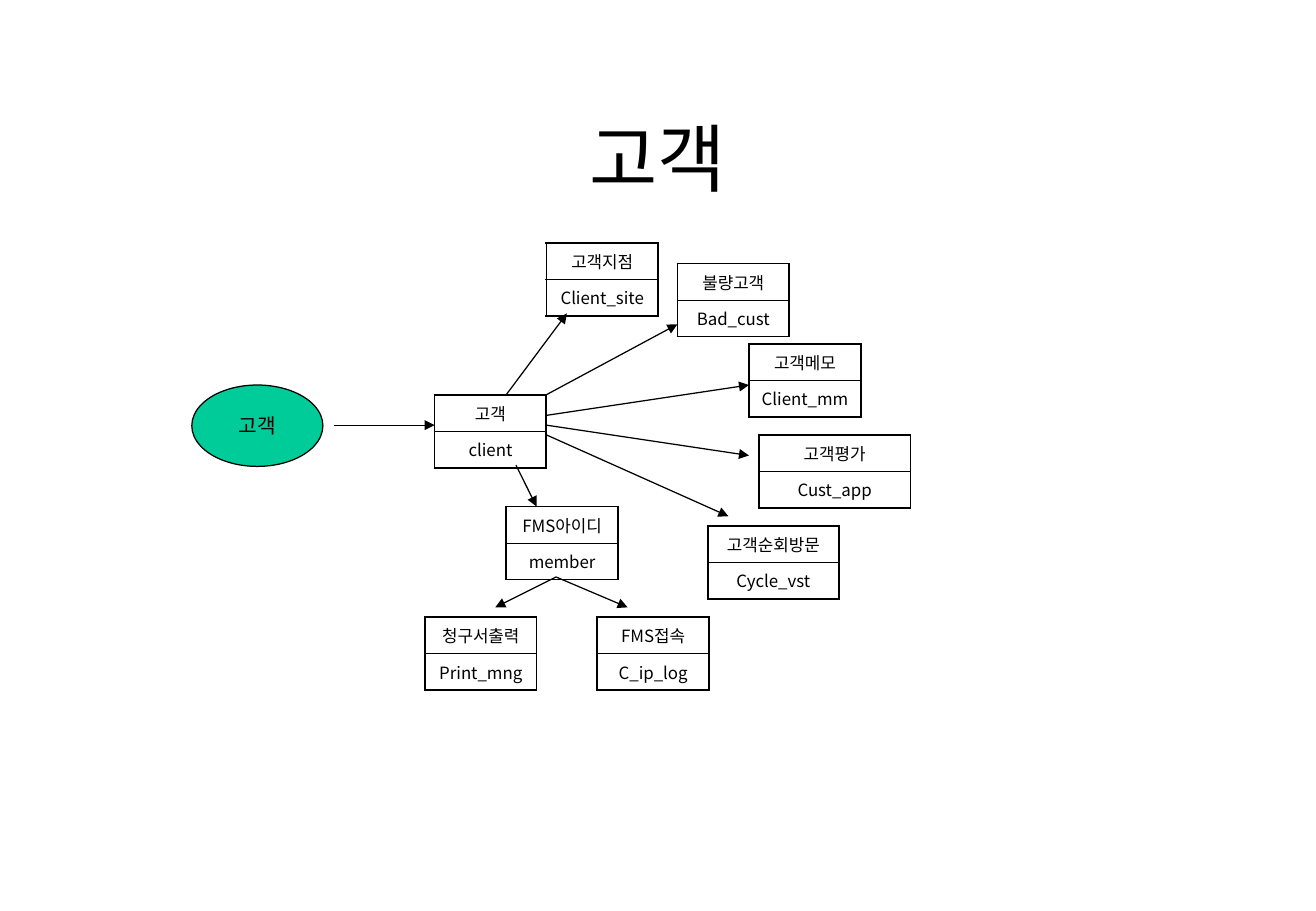
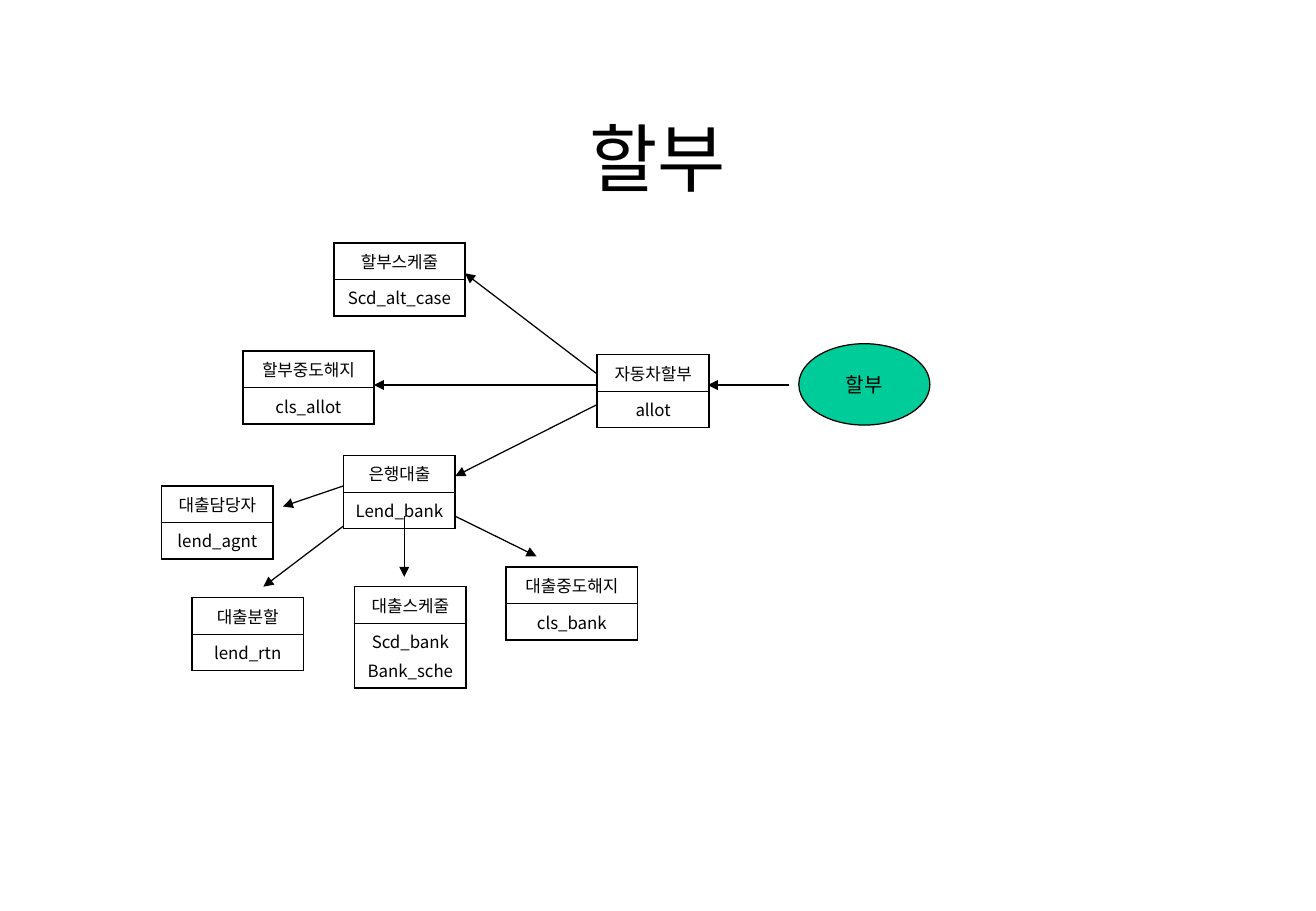
"""Build two entity diagrams: customers and instalments."""
from lxml.etree import SubElement
from pptx import Presentation
from pptx.dml.color import RGBColor
from pptx.enum.shapes import MSO_CONNECTOR, MSO_SHAPE
from pptx.enum.text import MSO_ANCHOR, PP_ALIGN
from pptx.oxml import parse_xml
from pptx.oxml.ns import nsdecls, qn
from pptx.util import Inches, Pt

FONT = "Noto Sans CJK KR"
COLORS = {"ink": "000000", "start": "00CC99"}
NARROW, MEDIUM, WIDE = 0.92, 1.08, 1.25
OUTER, INNER, ARROW = 1.08, 0.45, 0.74
HEAD_ROW, LINE = 0.27, 0.2

SLIDES = [
    {
        "title": "고객",
        "start": (1.58, 3.17),
        "entities": [
            ("고객지점", "Client_site", 4.5, 2, NARROW),
            ("고객", "client", 3.58, 3.25, NARROW),
            ("고객평가", "Cust_app", 6.25, 3.58, WIDE),
            ("불량고객", "Bad_cust", 5.58, 2.17, NARROW),
            ("고객메모", "Client_mm", 6.17, 2.83, NARROW),
            ("고객순회방문", "Cycle_vst", 5.83, 4.33, MEDIUM),
            ("FMS아이디", "member", 4.17, 4.17, NARROW),
            ("청구서출력", "Print_mng", 3.5, 5.08, NARROW),
            ("FMS접속", "C_ip_log", 4.92, 5.08, NARROW),
        ],
        "arrows": [
            (2.75, 3.5, 3.58, 3.5),
            (4.17, 3.25, 4.67, 2.58),
            (4.5, 3.25, 5.58, 2.67),
            (4.5, 3.42, 6.17, 3.17),
            (4.5, 3.5, 6.17, 3.75),
            (4.5, 3.58, 6, 4.25),
            (4.25, 3.83, 4.42, 4.17),
            (4.58, 4.75, 4.08, 5),
            (4.58, 4.75, 5.17, 5),
        ],
    },
    {
        "title": "할부",
        "start": (6.58, 2.83),
        "entities": [
            ("대출스케줄", "Scd_bank\nBank_sche", 2.92, 4.83, NARROW),
            ("은행대출", "Lend_bank", 2.83, 3.75, NARROW),
            ("대출분할", "lend_rtn", 1.58, 4.92, NARROW),
            ("대출담당자", "lend_agnt", 1.33, 4, NARROW),
            ("대출중도해지", "cls_bank", 4.17, 4.67, MEDIUM),
            ("할부스케줄", "Scd_alt_case", 2.75, 2, MEDIUM),
            ("할부중도해지", "cls_allot", 2, 2.89, MEDIUM),
            ("자동차할부", "allot", 4.92, 2.92, NARROW),
        ],
        "arrows": [
            (4.92, 3.08, 3.83, 2.25),
            (4.92, 3.17, 3.08, 3.17),
            (4.92, 3.33, 3.75, 3.92),
            (2.83, 4, 2.33, 4.17),
            (2.83, 4.33, 2.17, 4.83),
            (3.33, 4.25, 3.33, 4.75),
            (3.75, 4.25, 4.42, 4.58),
            (6.5, 3.17, 5.83, 3.17),
        ],
    },
]


def color(name):
    return RGBColor.from_string(COLORS[name])


def write(tf, text, size, before=0):
    tf.text = text
    for p in tf.paragraphs:
        p.alignment = PP_ALIGN.CENTER
        p.space_before = Pt(before)
        for r in p.runs:
            r.font.size = Pt(size)
            r.font.name = FONT
            r.font.color.rgb = color("ink")
            SubElement(r.font._element, qn("a:ea"), typeface=FONT)


def add_borders(cell, top, bottom):
    tcPr = cell._tc.get_or_add_tcPr()
    sides = [("L", OUTER), ("R", OUTER), ("T", top), ("B", bottom)]
    for i, (side, width) in enumerate(sides):
        tcPr.insert(i, parse_xml(
            f'<a:ln{side} {nsdecls("a")} w="{Pt(width)}"><a:solidFill>'
            f'<a:srgbClr val="{COLORS["ink"]}"/></a:solidFill></a:ln{side}>'))


def add_entity(s, name, tables, x, y, width):
    heights = [HEAD_ROW, HEAD_ROW + LINE * tables.count("\n")]
    frame = s.shapes.add_table(2, 1, Inches(x), Inches(y), Inches(width), Inches(sum(heights)))
    table = frame.table
    table.first_row = table.horz_banding = False
    borders = [(OUTER, INNER), (INNER, OUTER)]
    for i, text in enumerate((name, tables)):
        table.rows[i].height = Inches(heights[i])
        cell = table.cell(i, 0)
        cell.fill.background()
        add_borders(cell, *borders[i])
        write(cell.text_frame, text, 10, 2.5)


def add_start(s, text, x, y):
    sp = s.shapes.add_shape(MSO_SHAPE.OVAL, Inches(x), Inches(y), Inches(MEDIUM), Inches(0.67))
    sp.shadow.inherit = False
    sp.fill.solid()
    sp.fill.fore_color.rgb = color("start")
    sp.line.color.rgb = color("ink")
    sp.line.width = Pt(ARROW)
    tf = sp.text_frame
    tf.word_wrap = False
    tf.vertical_anchor = MSO_ANCHOR.MIDDLE
    write(tf, text, 12)


def add_arrow(s, *ends):
    line = s.shapes.add_connector(MSO_CONNECTOR.STRAIGHT, *map(Inches, ends))
    line.line.color.rgb = color("ink")
    line.line.width = Pt(ARROW)
    SubElement(line.line._get_or_add_ln(), qn("a:tailEnd"), type="triangle")
    SubElement(line._element.spPr, qn("a:effectLst"))


def add_title(s, text):
    sp = s.shapes.title
    sp.left, sp.top, sp.width, sp.height = map(Inches, (0.81, 0.67, 9.21, 1.25))
    sp.text_frame.vertical_anchor = MSO_ANCHOR.MIDDLE
    write(sp.text_frame, text, 44)


prs = Presentation()
prs.slide_width, prs.slide_height = Inches(10.84), Inches(7.5)
for content in SLIDES:
    s = prs.slides.add_slide(prs.slide_layouts[5])
    add_title(s, content["title"])
    for entity in content["entities"]:
        add_entity(s, *entity)
    add_start(s, content["title"], *content["start"])
    for arrow in content["arrows"]:
        add_arrow(s, *arrow)
prs.save("out.pptx")
